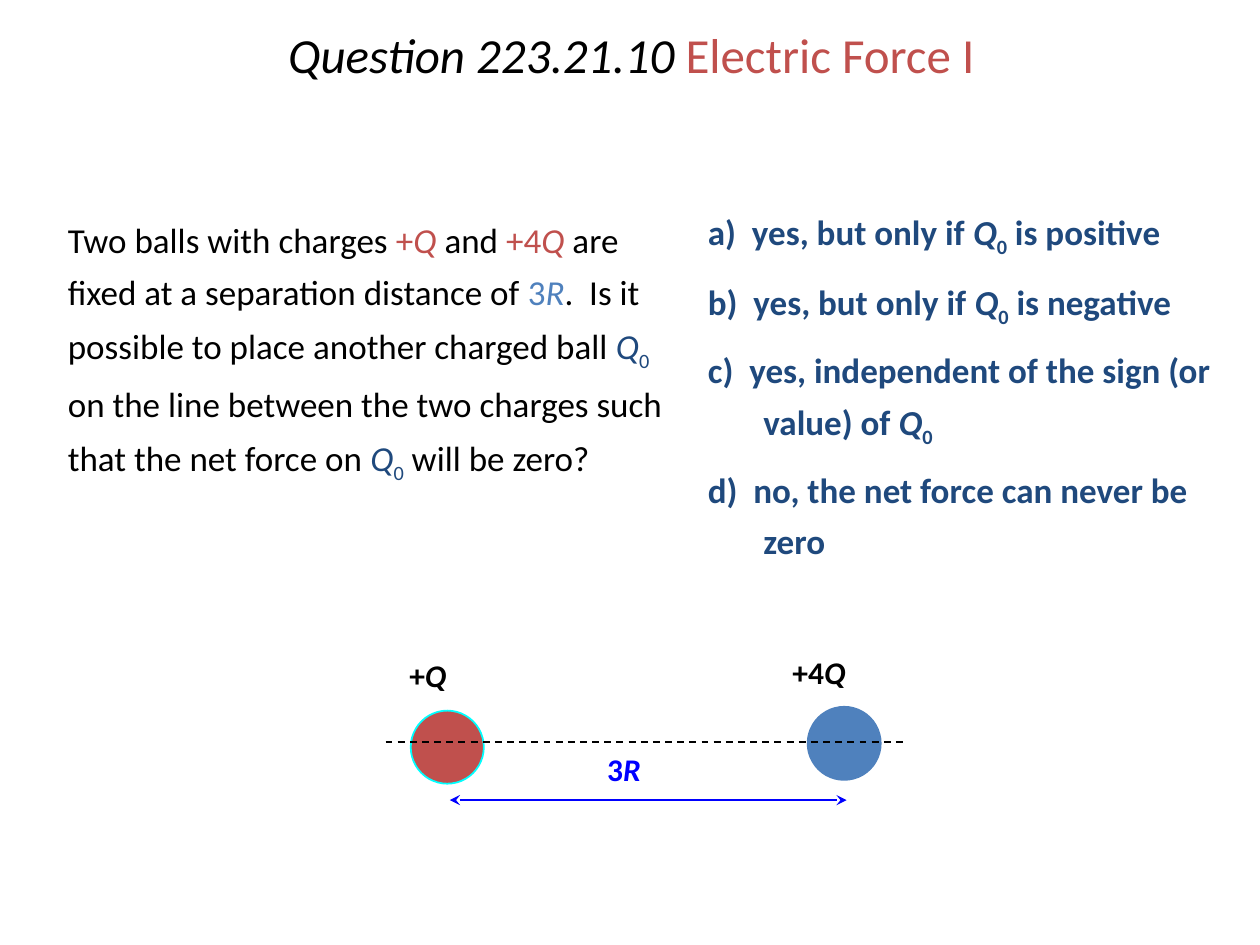
from dataclasses import dataclass
from typing import Any

from lxml.etree import SubElement
from pptx import Presentation
from pptx.dml.color import RGBColor
from pptx.enum.dml import MSO_LINE_DASH_STYLE as Dash
from pptx.enum.shapes import MSO_CONNECTOR as Connector, MSO_SHAPE as Shape
from pptx.enum.text import MSO_ANCHOR as Anchor, MSO_AUTO_SIZE as AutoSize, PP_ALIGN as Align
from pptx.oxml.ns import qn
from pptx.util import Inches, Pt

BLACK = RGBColor(0x00, 0x00, 0x00)
RED = RGBColor(0xC0, 0x50, 0x4D)
BLUE = RGBColor(0x4F, 0x81, 0xBD)
NAVY = RGBColor(0x1F, 0x49, 0x7D)
CYAN = RGBColor(0x00, 0xFF, 0xFF)
BRIGHT_BLUE = RGBColor(0x00, 0x00, 0xFF)

Q_ZERO = [("Q", NAVY, "i"), ("0", NAVY, "sub")]
QUESTION = [
    ("Two balls with charges ", BLACK, ""), ("+", RED, ""), ("Q", RED, "i"),
    (" and ", BLACK, ""), ("+4", RED, ""), ("Q", RED, "i"),
    (" are fixed at a separation distance of ", BLACK, ""), ("3", BLUE, ""), ("R", BLUE, "i"),
    (".  Is it possible to place another charged ball ", BLACK, ""), *Q_ZERO,
    (" on the line between the two charges such that the net force on ", BLACK, ""), *Q_ZERO,
    (" will be zero?", BLACK, ""),
]
ANSWERS = [
    [("a)  yes, but only if ", NAVY, ""), *Q_ZERO, (" is positive", NAVY, "")],
    [("b)  yes, but only if ", NAVY, ""), *Q_ZERO, (" is negative", NAVY, "")],
    [("c)  yes, independent of the sign (or value) of ", NAVY, ""), *Q_ZERO],
    [("d)  no, the net force can never be zero", NAVY, "")],
]


@dataclass
class QuestionSlide:
    """Draws the elements of a physics question in one style."""

    slide: Any
    diagram: Any = None
    font: str = "Calibri"
    indent: float = 0.44
    ball_size: float = 0.58

    def add_spans(self, para, pieces, size, bold=False, spacing=0.9):
        para.line_spacing = spacing
        for text, color, style in pieces:
            span = para.add_run()
            span.text = text
            span.font.name = self.font
            span.font.size = Pt(size)
            span.font.bold = bold
            span.font.italic = style == "i"
            span.font.color.rgb = color
            if style == "sub":
                span.font._element.set("baseline", "-25000")

    def title(self, pieces, left, top, width, height):
        box = self.slide.shapes.title
        box.left, box.top, box.width, box.height = map(Inches, (left, top, width, height))
        box.text_frame.vertical_anchor = Anchor.MIDDLE
        para = box.text_frame.paragraphs[0]
        para.alignment = Align.CENTER
        self.add_spans(para, pieces, 28)

    def text(self, paragraphs, left, top, width, height, spacing, hanging=False, bold=False):
        box = self.slide.shapes.add_textbox(*map(Inches, (left, top, width, height)))
        frame = box.text_frame
        frame.word_wrap = True
        for number, pieces in enumerate(paragraphs):
            para = frame.add_paragraph() if number else frame.paragraphs[0]
            properties = para._p.get_or_add_pPr()
            properties.set("marL", str(Inches(self.indent)))
            properties.set("indent", str(Inches(-self.indent if hanging else 0)))
            if number:
                para.space_before = Pt(7)
            self.add_spans(para, pieces, 20, bold, spacing)

    def ball(self, left, top, fill, outline):
        size = Inches(self.ball_size)
        ball = self.diagram.add_shape(Shape.OVAL, Inches(left), Inches(top), size, size)
        ball.shadow.inherit = False
        ball.fill.solid()
        ball.fill.fore_color.rgb = fill
        ball.line.color.rgb = outline
        ball.line.width = Pt(1)

    def label(self, number, symbol, color, left, top, width):
        box = self.diagram.add_textbox(*map(Inches, (left, top, width, 0.37)))
        box.text_frame.word_wrap = False
        box.text_frame.auto_size = AutoSize.SHAPE_TO_FIT_TEXT
        pieces = [(number, color, ""), (symbol, color, "i")]
        self.add_spans(box.text_frame.paragraphs[0], pieces, 18, bold=True)

    def line(self, start, end, height, color, dash=None, arrows=False):
        line = self.diagram.add_connector(
            Connector.STRAIGHT, Inches(start), Inches(height), Inches(end), Inches(height))
        line.line.color.rgb = color
        line.line.width = Pt(1)
        if dash:
            line.line.dash_style = dash
        properties = line._element.spPr
        if arrows:
            for end_tag in ("a:headEnd", "a:tailEnd"):
                SubElement(properties.find(qn("a:ln")), qn(end_tag), type="stealth")
        SubElement(properties, qn("a:effectLst"))


def main():
    deck = Presentation()
    deck.slide_width, deck.slide_height = Inches(10), Inches(7.5)
    slide = deck.slides.add_slide(deck.slide_layouts[5])
    page = QuestionSlide(slide)

    page.title([("Question 223.21.10 ", BLACK, "i"), ("Electric Force I", RED, "")],
               1.02, 0, 7.98, 0.92)
    page.text([QUESTION], 0, 1.6, 5.36, 2.64, spacing=1.25)
    page.text(ANSWERS, 5.52, 1.55, 4.48, 2.64, spacing=1.2, hanging=True, bold=True)

    page.diagram = slide.shapes.add_group_shape().shapes
    page.ball(6.41, 5.61, BLUE, BLUE)
    page.ball(3.26, 5.64, RED, CYAN)
    page.label("3", "R", BRIGHT_BLUE, 4.72, 5.94, 0.52)
    page.label("+", "Q", BLACK, 3.15, 5.19, 0.54)
    page.label("+4", "Q", BLACK, 6.19, 5.17, 0.68)
    page.line(3.06, 7.19, 5.89, BLACK, dash=Dash.DASH)
    page.line(3.57, 6.72, 6.35, BRIGHT_BLUE, arrows=True)

    deck.save("out.pptx")


if __name__ == "__main__":
    main()
